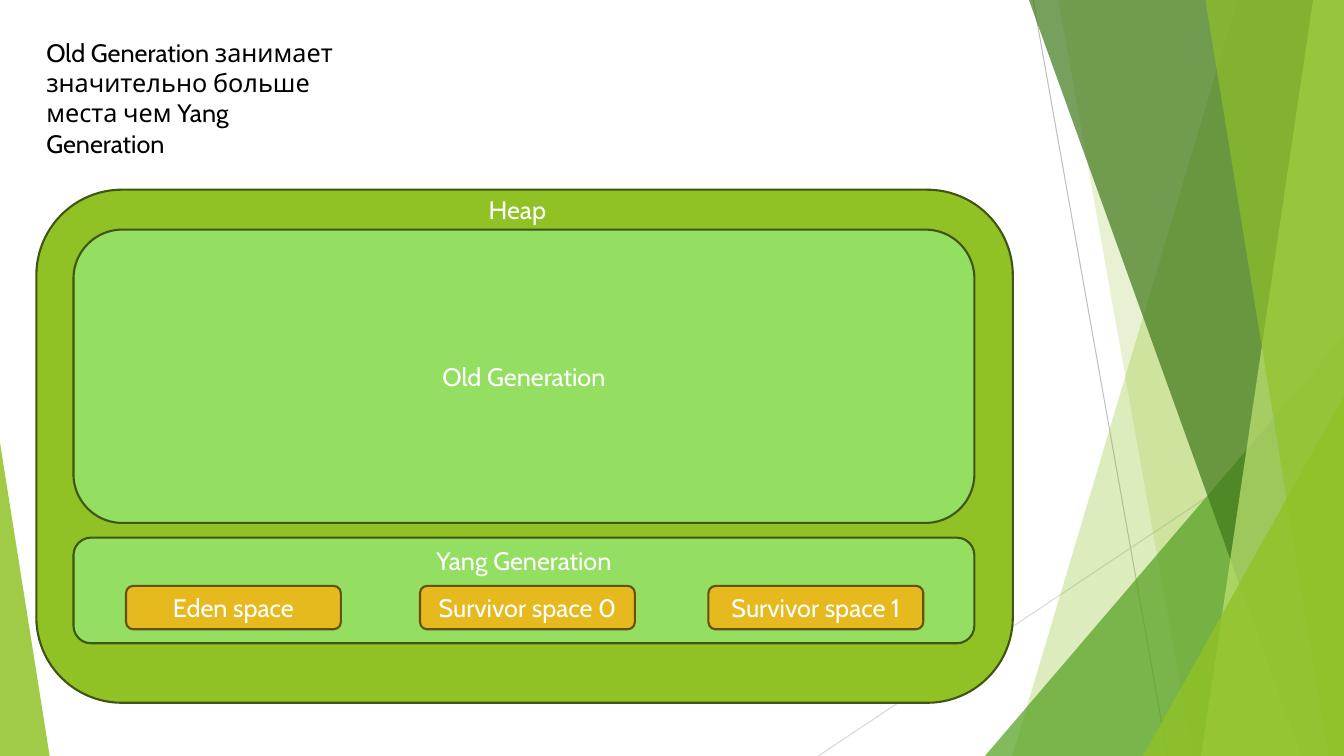
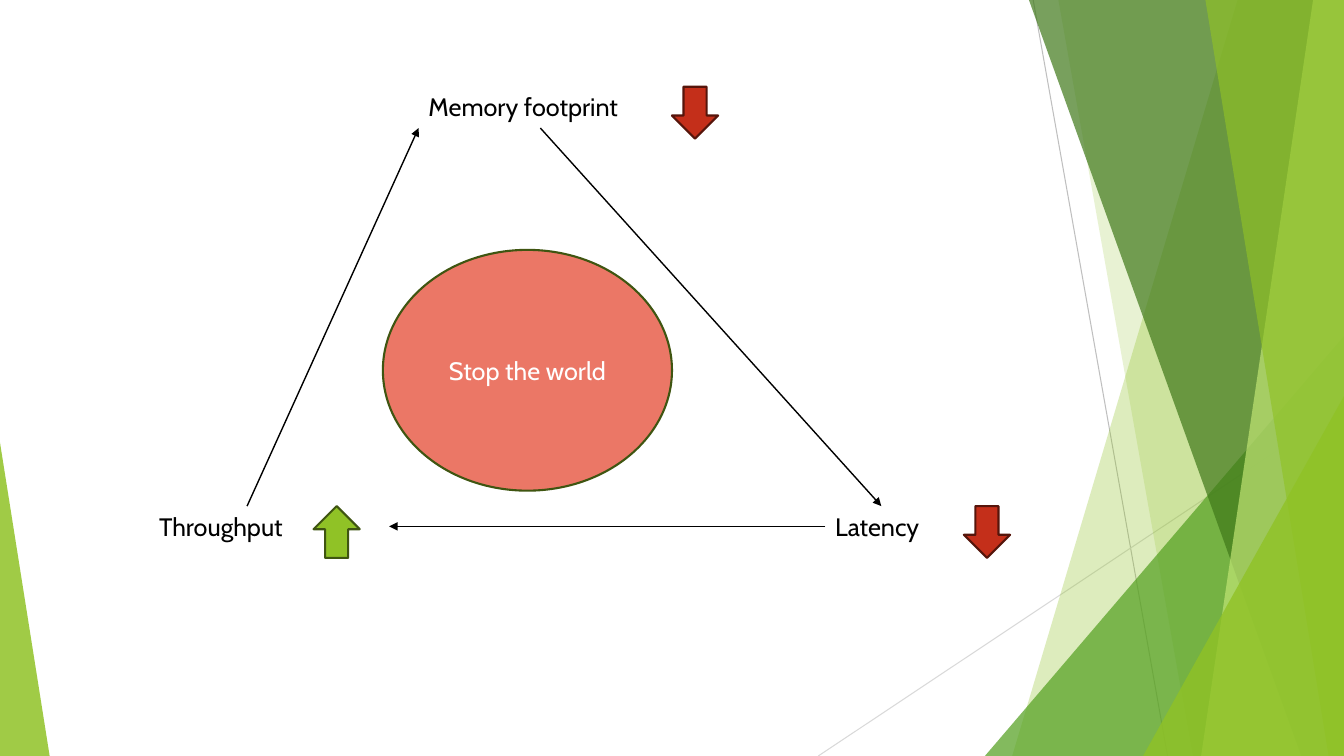
from dataclasses import dataclass

from pptx import Presentation
from pptx.dml.color import RGBColor
from pptx.enum.shapes import MSO_CONNECTOR as Connector
from pptx.enum.shapes import MSO_SHAPE as Preset
from pptx.enum.text import MSO_ANCHOR as Anchor
from pptx.enum.text import PP_ALIGN as Align
from pptx.oxml.ns import qn
from pptx.oxml.xmlchemy import OxmlElement
from pptx.slide import Slide, SlideLayout
from pptx.util import Pt


@dataclass(frozen=True)
class Theme:
    font: str = "Cabin"
    text_size: float = 18
    outline: float = 1.5
    arrow_line: float = 1
    hairline: float = 0.75
    white: str = "FFFFFF"
    black: str = "000000"
    green: str = "90C226"
    green_edge: str = "3F5511"
    light_green: str = "94DE61"
    mid_green: str = "54A021"
    dark_green: str = "3F7819"
    lime: str = "C0E474"
    gold: str = "E6B91E"
    gold_edge: str = "65510D"
    red: str = "C42F1A"
    red_edge: str = "56150B"
    coral: str = "EB7766"
    gray: str = "BFBFBF"
    pale_gray: str = "D9D9D9"


@dataclass(frozen=True)
class Box:
    left: float
    top: float
    width: float
    height: float

    def lengths(self) -> tuple[Pt, Pt, Pt, Pt]:
        return Pt(self.left), Pt(self.top), Pt(self.width), Pt(self.height)


@dataclass(frozen=True)
class Band:
    """A strip from a slanted left edge to the right edge of the slide."""
    top_x: float
    bottom_x: float
    color: str
    opacity: int


@dataclass(frozen=True)
class Wedge:
    box: Box
    apex: float
    color: str
    opacity: int


@dataclass(frozen=True)
class Block:
    box: Box
    fill: str
    edge: str
    text: str = ""
    preset: Preset = Preset.ROUNDED_RECTANGLE
    anchor: Anchor = Anchor.MIDDLE


@dataclass(frozen=True)
class Label:
    box: Box
    text: str
    color: str


@dataclass(frozen=True)
class Line:
    start: tuple[float, float]
    end: tuple[float, float]
    color: str
    width: float
    arrow: bool = False


THEME = Theme()
WIDTH, HEIGHT = 960, 540

# Backdrop
BACKDROP = [
    Line((738, 0), (834, HEIGHT), THEME.gray, THEME.hairline),
    Line((WIDTH, 290), (584.5, HEIGHT), THEME.pale_gray, THEME.hairline),
    Band(884, 723, THEME.green, 30),
    Band(756, 852, THEME.green, 20),
    Wedge(Box(703.5, 240, 256.5, 300), 1, THEME.mid_green, 72),
    Band(735, 929.5, THEME.dark_green, 70),
    Band(938, 858, THEME.lime, 70),
    Band(861, 949, THEME.green, 65),
    Wedge(Box(816.5, 283, 143.5, 257), 1, THEME.green, 80),
    Wedge(Box(0, 316, 35.5, 224), 0, THEME.green, 85),
]

# Heap slide
YOUNG_SPACES = {"Eden space": 90, "Survivor space 0": 300, "Survivor space 1": 506}
HEAP = [
    Block(Box(26, 135.5, 697.5, 366.5), THEME.green, THEME.green_edge),
    Label(Box(342, 135.5, 66, 29), "Heap", THEME.white),
    Block(Box(52.5, 164, 643.5, 209.5), THEME.light_green, THEME.green_edge,
          "Old Generation"),
    Block(Box(52.5, 384, 643.5, 75.5), THEME.light_green, THEME.green_edge,
          "Yang Generation", anchor=Anchor.TOP),
    *(Block(Box(left, 418.5, 153.5, 31), THEME.gold, THEME.gold_edge, name)
      for name, left in YOUNG_SPACES.items()),
    Label(Box(26, 23, 222, 94),
          "Old Generation занимает значительно больше места чем Yang Generation",
          THEME.black),
]

# Trade-off slide
TOP_ROW, BOTTOM_ROW = 62, 361.5
LABEL_HEIGHT = 29


def trend(left: float, top: float, rising: bool = False) -> Block:
    box = Box(left, top, 33, 37)
    if rising:
        return Block(box, THEME.green, THEME.green_edge, preset=Preset.UP_ARROW)
    return Block(box, THEME.red, THEME.red_edge, preset=Preset.DOWN_ARROW)


def arrow(start: tuple[float, float], end: tuple[float, float]) -> Line:
    return Line(start, end, THEME.black, THEME.arrow_line, arrow=True)


TRADE_OFF = [
    Block(Box(273.5, 178.5, 206.5, 172), THEME.coral, THEME.green_edge,
          "Stop the world", Preset.OVAL),
    Label(Box(299, TOP_ROW, 174, LABEL_HEIGHT), "Memory footprint", THEME.black),
    Label(Box(106.5, BOTTOM_ROW, 139.5, LABEL_HEIGHT), "Throughput", THEME.black),
    Label(Box(589.5, BOTTOM_ROW, 151, LABEL_HEIGHT), "Latency", THEME.black),
    trend(480, TOP_ROW),
    trend(688.5, BOTTOM_ROW),
    trend(224, BOTTOM_ROW, rising=True),
    arrow((589.5, 376), (278, 376)),
    arrow((176.5, BOTTOM_ROW), (299, 91.5)),
    arrow((386, 91.5), (629.5, BOTTOM_ROW)),
]


# Drawing
def write(shape, text: str, color: str, align: Align) -> None:
    shape.text_frame.word_wrap = True
    paragraph = shape.text_frame.paragraphs[0]
    paragraph.text = text
    paragraph.alignment = align
    paragraph.font.name = THEME.font
    paragraph.font.size = Pt(THEME.text_size)
    paragraph.font.color.rgb = RGBColor.from_string(color)


def paint(shape, color: str) -> None:
    shape.shadow.inherit = False
    shape.fill.solid()
    shape.fill.fore_color.rgb = RGBColor.from_string(color)


def paint_glass(shape, color: str, opacity: int) -> None:
    paint(shape, color)
    alpha = OxmlElement("a:alpha")
    alpha.set("val", str(opacity * 1000))
    shape.element.spPr.find(".//" + qn("a:srgbClr")).append(alpha)
    shape.line.fill.background()


def draw_band(slide: Slide, band: Band) -> None:
    builder = slide.shapes.build_freeform(Pt(band.top_x), Pt(0))
    corners = [(WIDTH, 0), (WIDTH, HEIGHT), (band.bottom_x, HEIGHT)]
    builder.add_line_segments([(Pt(x), Pt(y)) for x, y in corners], close=True)
    paint_glass(builder.convert_to_shape(), band.color, band.opacity)


def draw_wedge(slide: Slide, wedge: Wedge) -> None:
    shape = slide.shapes.add_shape(Preset.ISOSCELES_TRIANGLE, *wedge.box.lengths())
    shape.adjustments[0] = wedge.apex
    paint_glass(shape, wedge.color, wedge.opacity)


def draw_block(slide: Slide, block: Block) -> None:
    shape = slide.shapes.add_shape(block.preset, *block.box.lengths())
    paint(shape, block.fill)
    shape.line.color.rgb = RGBColor.from_string(block.edge)
    shape.line.width = Pt(THEME.outline)
    if block.text:
        write(shape, block.text, THEME.white, Align.CENTER)
        shape.text_frame.vertical_anchor = block.anchor
        shape.text_frame.margin_top = shape.text_frame.margin_bottom = Pt(2)


def draw_label(slide: Slide, label: Label) -> None:
    shape = slide.shapes.add_textbox(*label.box.lengths())
    write(shape, label.text, label.color, Align.LEFT)


def draw_line(slide: Slide, line: Line) -> None:
    ends = [Pt(value) for value in (*line.start, *line.end)]
    connector = slide.shapes.add_connector(Connector.STRAIGHT, *ends)
    connector.line.color.rgb = RGBColor.from_string(line.color)
    connector.line.width = Pt(line.width)
    properties = connector.element.spPr
    if line.arrow:
        head = OxmlElement("a:tailEnd")
        head.set("type", "triangle")
        properties.find(qn("a:ln")).append(head)
    properties.append(OxmlElement("a:effectLst"))


PAINTERS = {Band: draw_band, Wedge: draw_wedge, Block: draw_block,
            Label: draw_label, Line: draw_line}


def draw_all(slide: Slide, parts: list) -> None:
    for part in parts:
        PAINTERS[type(part)](slide, part)


def move_to_layout(slide: Slide, layout: SlideLayout) -> None:
    """Layouts cannot draw shapes themselves, so take them over from a slide."""
    for shape in list(slide.shapes):
        layout.shapes.element.append(shape.element)


def main() -> None:
    presentation = Presentation()
    presentation.slide_width, presentation.slide_height = Pt(WIDTH), Pt(HEIGHT)
    blank = presentation.slide_layouts[6]
    heap_slide, trade_off_slide = (presentation.slides.add_slide(blank)
                                   for _ in range(2))
    draw_all(heap_slide, BACKDROP)
    move_to_layout(heap_slide, blank)
    draw_all(heap_slide, HEAP)
    draw_all(trade_off_slide, TRADE_OFF)
    presentation.save("out.pptx")


if __name__ == "__main__":
    main()
